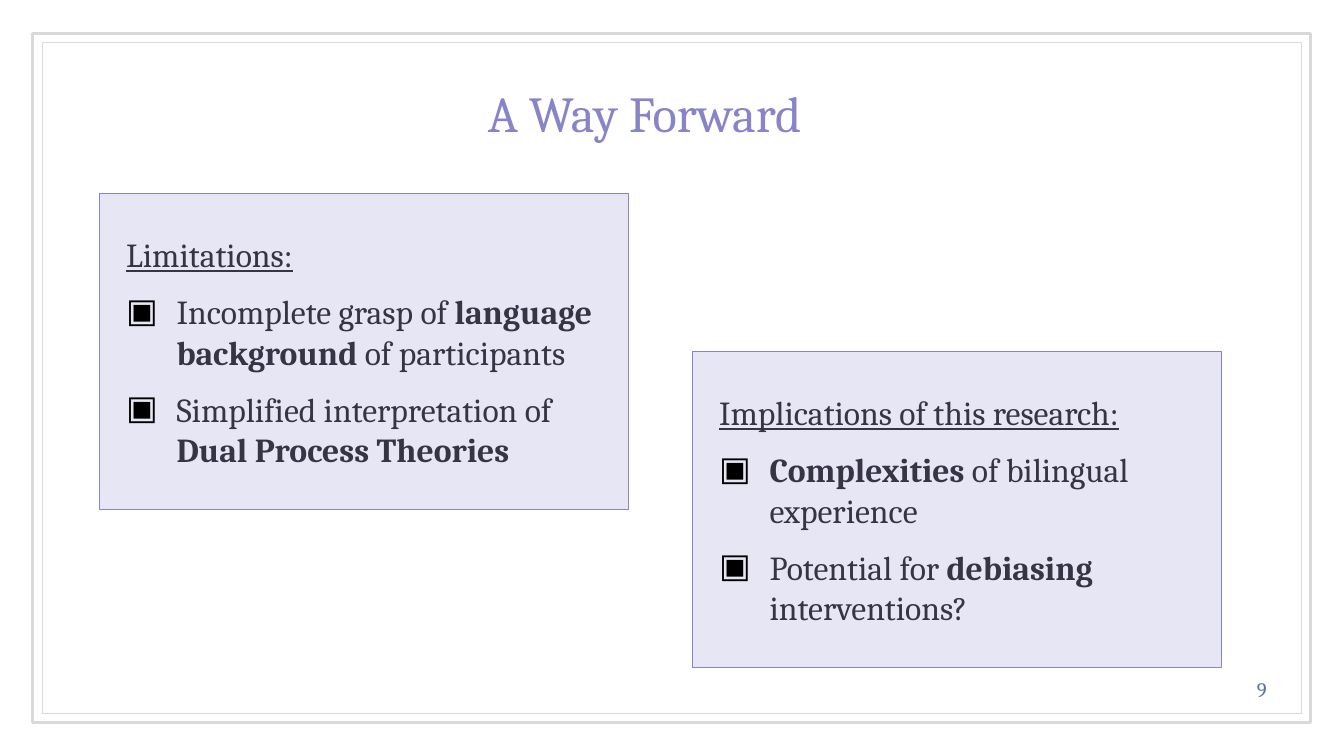
from dataclasses import dataclass

from lxml.etree import SubElement
from pptx import Presentation
from pptx.dml.color import RGBColor
from pptx.enum.shapes import MSO_SHAPE
from pptx.enum.text import MSO_ANCHOR, PP_ALIGN
from pptx.oxml.ns import qn
from pptx.util import Pt


@dataclass(frozen=True)
class Theme:
    font: str = "Cambria"
    title: str = "8784C7"
    text: str = "373545"
    panel: str = "E7E6F4"
    frame: str = "D9D9D9"
    number: str = "5D739A"
    bullet: str = "000000"
    title_size: float = 36
    body_size: float = 24
    number_size: float = 14.7


THEME = Theme()
PANEL_SIZE = (378, 226)
INSET = 7.2

# Each bullet is a list of (text, bold) spans.
LIMITATIONS = [
    [("Incomplete grasp of ", False), ("language background ", True), ("of participants", False)],
    [("Simplified interpretation of ", False), ("Dual Process Theories", True)],
]
IMPLICATIONS = [
    [("Complexities", True), (" of bilingual experience", False)],
    [("Potential for ", False), ("debiasing", True), (" interventions?", False)],
]


def rgb(code):
    return RGBColor.from_string(code)


def format_span(span, size, color, bold=False, underline=False):
    span.font.name = THEME.font
    span.font.size = Pt(size)
    span.font.color.rgb = rgb(color)
    span.font.bold = bold
    span.font.underline = underline


def set_insets(frame, horizontal, vertical):
    frame.margin_left = frame.margin_right = Pt(horizontal)
    frame.margin_top = frame.margin_bottom = Pt(vertical)
    frame.word_wrap = True


def add_box(page, left, top, width, height, line, weight, fill=None):
    box = page.shapes.add_shape(MSO_SHAPE.RECTANGLE, Pt(left), Pt(top), Pt(width), Pt(height))
    box.shadow.inherit = False
    box.line.color.rgb = rgb(line)
    box.line.width = Pt(weight)
    if fill:
        box.fill.solid()
        box.fill.fore_color.rgb = rgb(fill)
    else:
        box.fill.background()
    return box


def format_para(para, indent, hanging=0):
    para.alignment = PP_ALIGN.LEFT
    para.space_after = Pt(12)
    properties = para._p.get_or_add_pPr()
    properties.set("marL", str(Pt(indent)))
    properties.set("indent", str(Pt(-hanging)))
    return properties


def add_bullet(para, spans):
    for text, bold in spans:
        span = para.add_run()
        span.text = text
        format_span(span, THEME.body_size, THEME.text, bold=bold)
    properties = format_para(para, 48, 36)
    color = SubElement(properties, qn("a:buClr"))
    SubElement(color, qn("a:srgbClr"), val=THEME.bullet)
    SubElement(properties, qn("a:buFont"), typeface=THEME.font)
    SubElement(properties, qn("a:buChar"), char="▣")


def add_panel(page, left, top, heading, bullets):
    box = add_box(page, left, top, *PANEL_SIZE, THEME.title, 0.75, THEME.panel)
    frame = box.text_frame
    set_insets(frame, INSET, INSET)
    frame.vertical_anchor = MSO_ANCHOR.MIDDLE
    para = frame.paragraphs[0]
    para.text = heading
    format_para(para, 12)
    format_span(para.runs[0], THEME.body_size, THEME.text, underline=True)
    for spans in bullets:
        add_bullet(frame.add_paragraph(), spans)


def set_title(page, text):
    title = page.shapes.title
    title.left, title.top, title.width, title.height = Pt(341.3), Pt(55.4), Pt(277), Pt(51)
    frame = title.text_frame
    set_insets(frame, INSET, 3.6)
    frame.vertical_anchor = MSO_ANCHOR.TOP
    frame.text = text
    frame.paragraphs[0].alignment = PP_ALIGN.LEFT
    format_span(frame.paragraphs[0].runs[0], THEME.title_size, THEME.title)


def add_page_number(page, text):
    box = page.shapes.add_textbox(Pt(872.6), Pt(467.3), Pt(57.6), Pt(41))
    frame = box.text_frame
    set_insets(frame, INSET, INSET)
    frame.vertical_anchor = MSO_ANCHOR.BOTTOM
    frame.text = text
    frame.paragraphs[0].alignment = PP_ALIGN.CENTER
    format_span(frame.paragraphs[0].runs[0], THEME.number_size, THEME.number)


def main():
    deck = Presentation()
    deck.slide_width, deck.slide_height = Pt(960), Pt(540)
    page = deck.slides.add_slide(deck.slide_layouts[5])
    add_box(page, 23, 23.8, 913, 492.5, THEME.frame, 2.25)
    add_box(page, 30.2, 30.2, 899.3, 479.5, THEME.frame, 0.75)
    add_panel(page, 71, 138.2, "Limitations:", LIMITATIONS)
    add_panel(page, 494.6, 251, "Implications of this research:", IMPLICATIONS)
    add_page_number(page, "9")
    set_title(page, "A Way Forward")
    deck.save("out.pptx")


if __name__ == "__main__":
    main()
